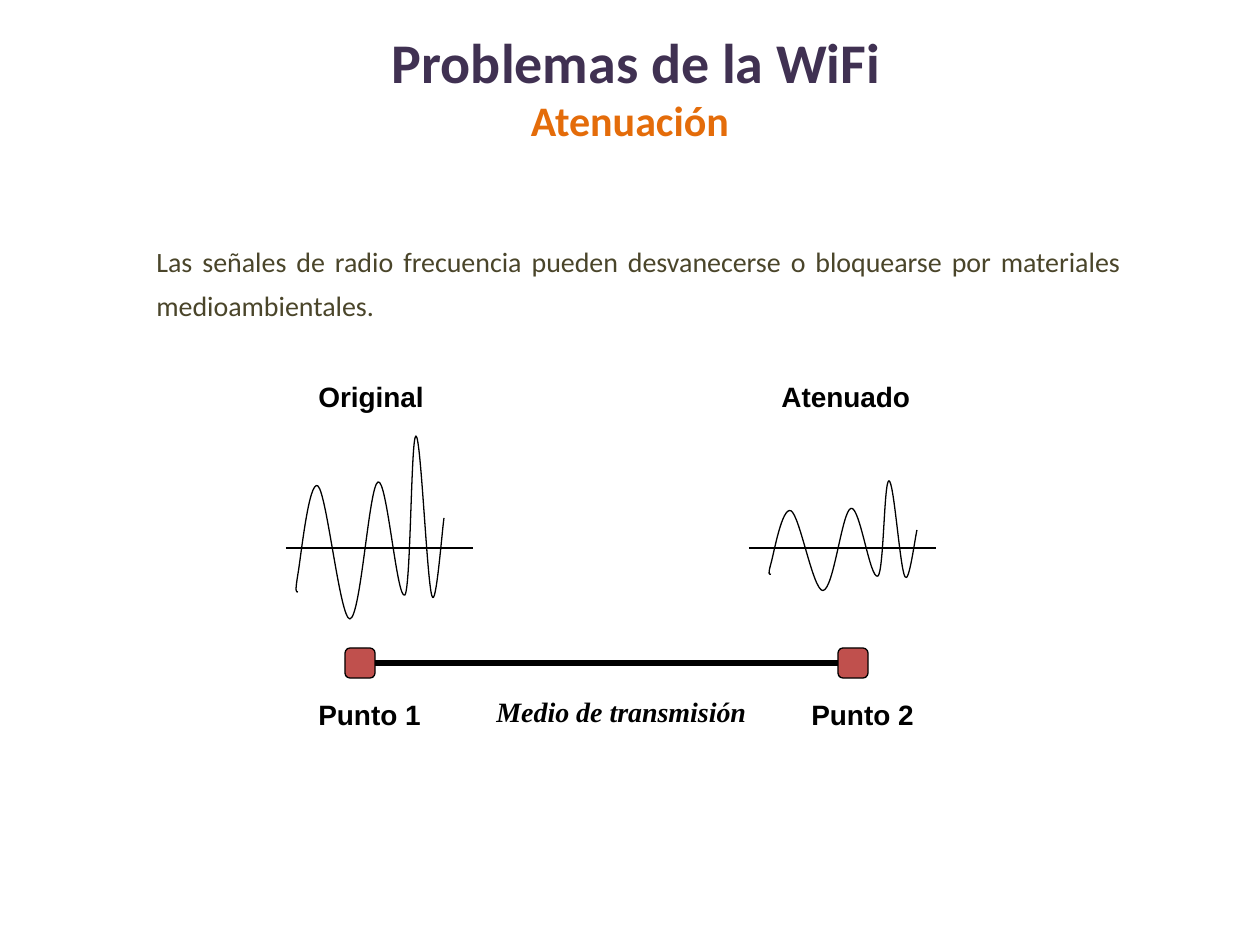
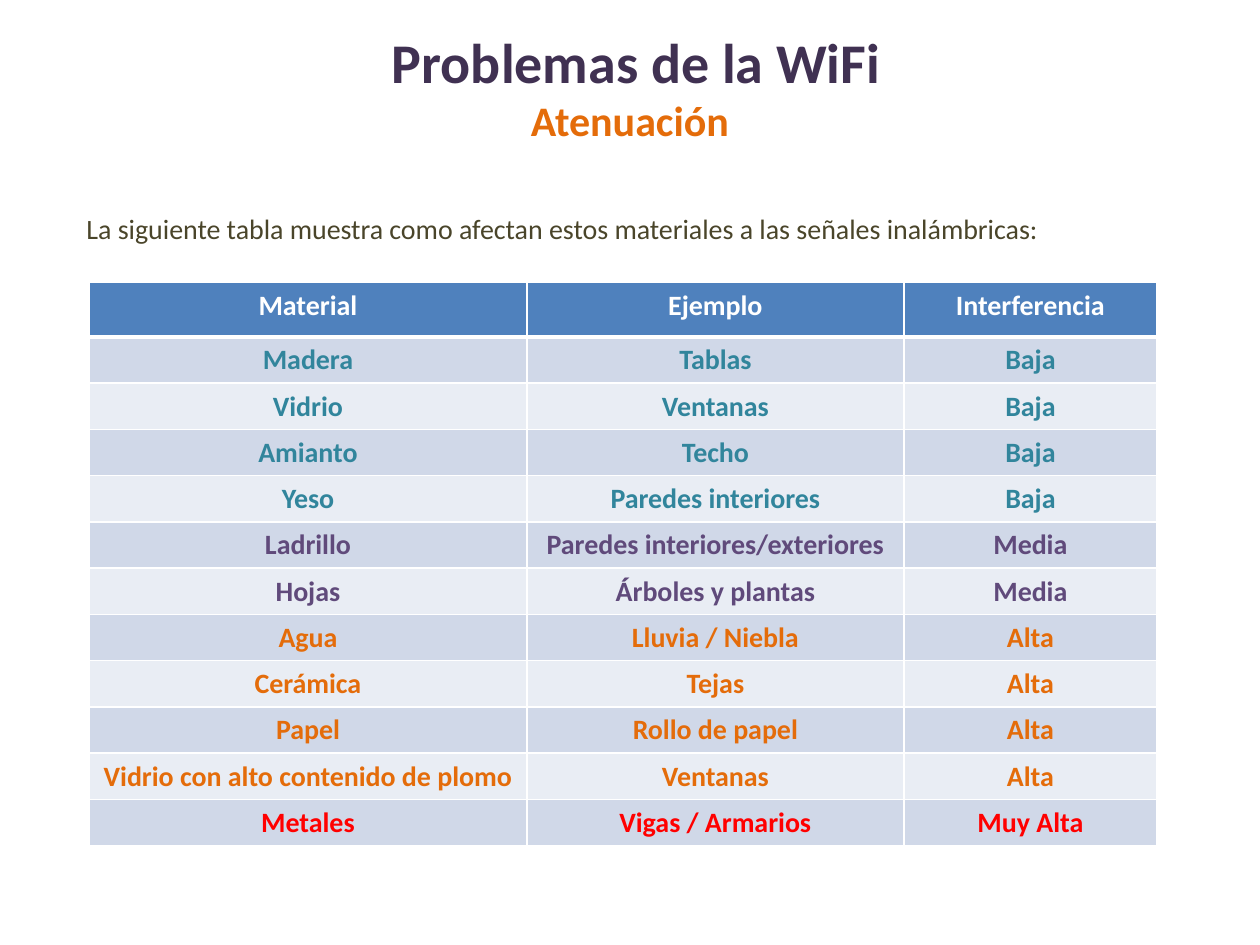
from dataclasses import dataclass

from lxml.etree import SubElement
from pptx import Presentation
from pptx.dml.color import RGBColor
from pptx.enum.shapes import MSO_CONNECTOR, MSO_SHAPE
from pptx.enum.text import MSO_ANCHOR, MSO_AUTO_SIZE, PP_ALIGN
from pptx.oxml import parse_xml
from pptx.oxml.ns import nsdecls, qn
from pptx.util import Emu, Pt

PX = 914400 / 126


@dataclass(frozen=True)
class Theme:
    white: str = "FFFFFF"
    black: str = "000000"
    title: str = "403152"
    orange: str = "E46C0A"
    body: str = "4A452A"
    point: str = "C0504D"
    header: str = "4F81BD"
    bands: tuple = ("D0D8E8", "E9EDF4")
    low: str = "31859C"
    medium: str = "604A7B"
    very_high: str = "FF0000"
    title_size: int = 32
    subtitle_size: int = 24
    text_size: int = 16
    thin: float = 0.75
    thick: float = 3


theme = Theme()


def font_format(name, size, bold=False, italic=False):
    return {"name": name, "size": Pt(size), "bold": bold, "italic": italic}


TITLE = {"font": font_format("Calibri", theme.title_size, True), "color": theme.title,
         "paragraph": {"alignment": PP_ALIGN.CENTER}}
SUBTITLE = {**TITLE, "font": font_format("Calibri", theme.subtitle_size, True),
            "color": theme.orange}
BODY = {"font": font_format("Calibri", theme.text_size), "color": theme.body,
        "paragraph": {"alignment": PP_ALIGN.JUSTIFY, "line_spacing": Pt(25)},
        "frame": {"margin_right": Emu(round(25 * PX))}}
LABEL = {"font": font_format("Arial", theme.text_size, True), "color": theme.black,
         "paragraph": {}, "frame": {"auto_size": MSO_AUTO_SIZE.SHAPE_TO_FIT_TEXT}}
MEDIUM_LABEL = {**LABEL, "font": font_format("Times New Roman", theme.text_size, True, True)}
CELL = {**TITLE, "font": font_format("Calibri", theme.text_size, True)}


def px(*lengths):
    return [Emu(round(length * PX)) for length in lengths]


def write(paragraph, text, style):
    run = paragraph.add_run()
    run.text = text
    for target, values in ((paragraph, style["paragraph"]), (run.font, style["font"])):
        for name, value in values.items():
            setattr(target, name, value)
    run.font.color.rgb = RGBColor.from_string(style["color"])


prs = Presentation()
prs.slide_width, prs.slide_height = px(1260, 945)
attenuation, materials = [prs.slides.add_slide(prs.slide_layouts[6]) for _ in range(2)]

# Shared heading
for slide in (attenuation, materials):
    heading = slide.shapes.add_textbox(*px(13, 8, 1234, 157)).text_frame
    heading.word_wrap = True
    heading.vertical_anchor = MSO_ANCHOR.MIDDLE
    write(heading.paragraphs[0], " Problemas de la WiFi", TITLE)
    write(heading.add_paragraph(), "Atenuación", SUBTITLE)

# Explanations and diagram labels
for slide, box, text, style in (
    (attenuation, (144, 228, 1002, 145),
     "Las señales de radio frecuencia pueden desvanecerse o bloquearse "
     "por materiales medioambientales.", BODY),
    (attenuation, (306, 373, 137, 47), "Original", LABEL),
    (attenuation, (769, 373, 168, 47), "Atenuado", LABEL),
    (attenuation, (306, 691, 137, 47), "Punto 1", LABEL),
    (attenuation, (799, 691, 137, 47), "Punto 2", LABEL),
    (attenuation, (484, 688, 344, 47), "Medio de transmisión", MEDIUM_LABEL),
    (materials, (74, 195, 1037, 72),
     "La siguiente tabla muestra como afectan estos materiales "
     "a las señales inalámbricas:", BODY),
):
    frame = slide.shapes.add_textbox(*px(*box)).text_frame
    frame.word_wrap = True
    for name, value in style["frame"].items():
        setattr(frame, name, value)
    write(frame.paragraphs[0], text, style)

# Wave start, then three Bézier points per curve, measured from the axis
wave_points = [
    (3, 44),
    (1, 44), (0, 44), (3, 26),
    (6, 9), (14, -69), (23, -62),
    (32, -54), (45, 71), (55, 71),
    (66, 69), (74, -62), (83, -66),
    (92, -71), (102, 54), (110, 47),
    (116, 38), (116, -112), (121, -112),
    (126, -112), (132, 34), (137, 48),
    (141, 62), (147, -16), (149, -30),
]
axis_y = 548
lines = []

# The signal at both ends; the second keeps 60 % of its amplitude
for wave_left, axis_left, amplitude in ((295, 286, 1), (768, 749, 0.6)):
    start, *rest = [(round((wave_left + x) * PX), round((axis_y + y * amplitude) * PX))
                    for x, y in wave_points]
    builder = attenuation.shapes.build_freeform(*start)
    builder.add_line_segments(rest, close=False)
    wave = builder.convert_to_shape()
    wave.shadow.inherit = False
    wave.fill.solid()
    wave.fill.fore_color.rgb = RGBColor.from_string(theme.white)
    lines.append((wave, theme.thin))

    outline = wave.element.find(".//" + qn("a:path"))
    segments = outline.findall(qn("a:lnTo"))
    for first in range(0, len(segments), 3):
        curve = SubElement(outline, qn("a:cubicBezTo"))
        for segment in segments[first:first + 3]:
            curve.append(segment[0])
            outline.remove(segment)

    axis = attenuation.shapes.add_connector(
        MSO_CONNECTOR.STRAIGHT, *px(axis_left, axis_y, axis_left + 187, axis_y))
    lines.append((axis, theme.thin))

# Points joined by the transmission medium
points = []
for left in (345, 838):
    point = attenuation.shapes.add_shape(MSO_SHAPE.ROUNDED_RECTANGLE, *px(left, 648, 30, 30))
    point.shadow.inherit = False
    point.fill.solid()
    point.fill.fore_color.rgb = RGBColor.from_string(theme.point)
    points.append(point)
    lines.append((point, theme.thin))

medium = attenuation.shapes.add_connector(MSO_CONNECTOR.STRAIGHT, *px(375, 663, 838, 663))
medium.begin_connect(points[0], 3)
medium.end_connect(points[1], 1)
lines.append((medium, theme.thick))

for stroke, width in lines:
    stroke.line.color.rgb = RGBColor.from_string(theme.black)
    stroke.line.width = Pt(width)
    if stroke.element.tag == qn("p:cxnSp"):
        SubElement(stroke.element.spPr, qn("a:effectLst"))

# Materials table, text coloured by interference
level_colors = {"Interferencia": theme.white, "Baja": theme.low, "Media": theme.medium,
                "Alta": theme.orange, "Muy Alta": theme.very_high}
interference = [
    ("Material", "Ejemplo", "Interferencia"),
    ("Madera", "Tablas", "Baja"),
    ("Vidrio", "Ventanas", "Baja"),
    ("Amianto", "Techo", "Baja"),
    ("Yeso", "Paredes interiores", "Baja"),
    ("Ladrillo", "Paredes interiores/exteriores", "Media"),
    ("Hojas", "Árboles y plantas", "Media"),
    ("Agua", "Lluvia / Niebla", "Alta"),
    ("Cerámica", "Tejas", "Alta"),
    ("Papel", "Rollo de papel", "Alta"),
    ("Vidrio con alto contenido de plomo", "Ventanas", "Alta"),
    ("Metales", "Vigas / Armarios", "Muy Alta"),
]
table = materials.shapes.add_table(len(interference), 3, *px(89, 282, 1068, 561)).table
for column, width in zip(table.columns, px(438, 377, 253)):
    column.width = width
for row_index, values in enumerate(interference):
    table.rows[row_index].height = px(46 if row_index else 55)[0]
    band = theme.bands[(row_index - 1) % 2] if row_index else theme.header
    style = {**CELL, "color": level_colors[values[-1]]}
    borders = {"L": 1, "R": 1, "T": 3 if row_index == 1 else 1, "B": 1 if row_index else 3}
    for column_index, value in enumerate(values):
        cell = table.cell(row_index, column_index)
        write(cell.text_frame.paragraphs[0], value, style)
        cell.fill.solid()
        cell.fill.fore_color.rgb = RGBColor.from_string(band)
        properties = cell.text_frame._txBody.getparent().find(qn("a:tcPr"))
        for position, (side, width) in enumerate(borders.items()):
            properties.insert(position, parse_xml(
                f'<a:ln{side} {nsdecls("a")} w="{Pt(width)}"><a:solidFill>'
                f'<a:srgbClr val="{theme.white}"/></a:solidFill></a:ln{side}>'))

prs.save("out.pptx")
